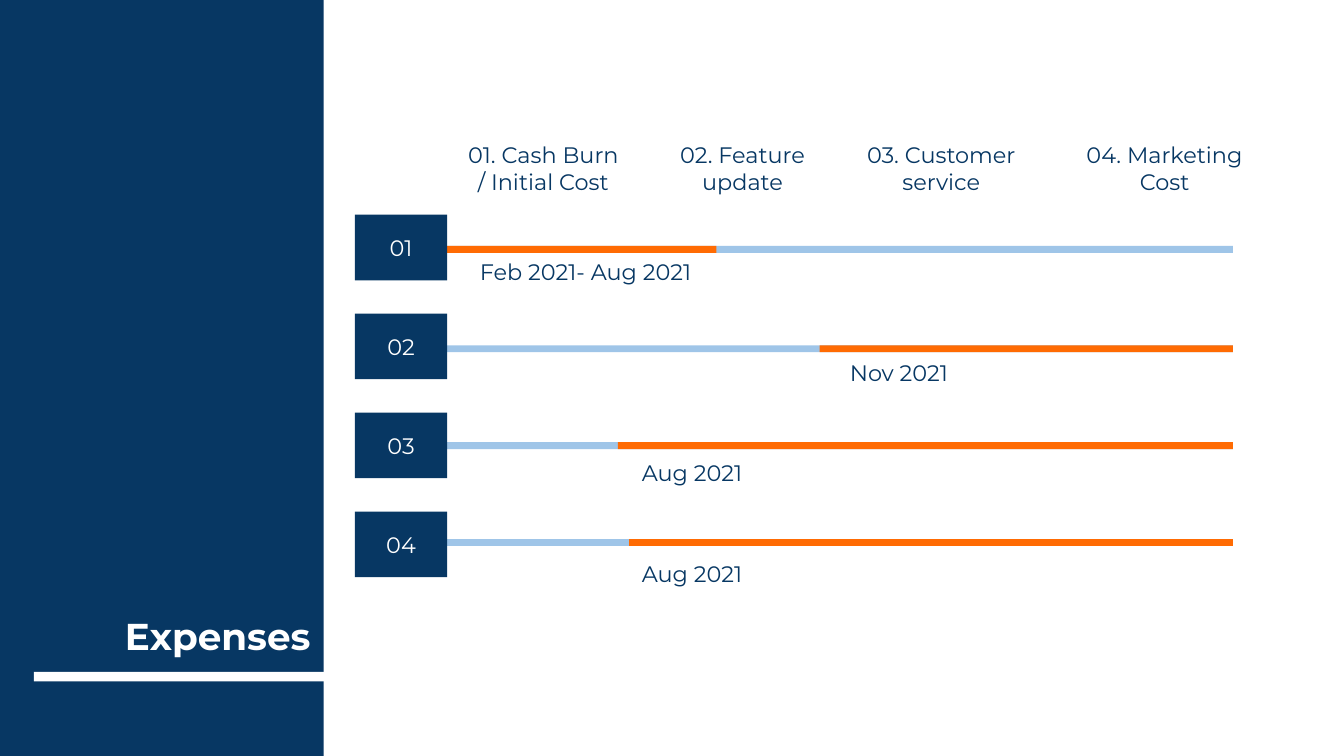
from pptx import Presentation
from pptx.dml.color import RGBColor
from pptx.enum import shapes, text
from pptx.util import Cm, Pt

NAVY = RGBColor(0x07, 0x37, 0x63)
LIGHT_BLUE = RGBColor(0x9F, 0xC5, 0xE8)
ORANGE = RGBColor(0xFF, 0x6B, 0x03)
WHITE = RGBColor(0xFF, 0xFF, 0xFF)
FONT = "Montserrat"

TITLE = "Expenses"
HEADERS = [
    ("01. Cash Burn / Initial Cost", 8.43, 3.68),
    ("02. Feature update", 12.42, 3.23),
    ("03. Customer service", 15.95, 3.68),
    ("04. Marketing Cost", 20.04, 3.94),
]
BAR_LEFT, BAR_RIGHT, BAR_HEIGHT = 8.43, 23.3, 0.13
ROWS = [
    dict(bar_top=4.65, start=BAR_LEFT, end=13.54, date="Feb 2021- Aug 2021", date_left=8.71),
    dict(bar_top=6.53, start=15.49, end=BAR_RIGHT, date="Nov 2021", date_left=14.63),
    dict(bar_top=8.36, start=11.68, end=BAR_RIGHT, date="Aug 2021", date_left=10.72),
    dict(bar_top=10.19, start=11.89, end=BAR_RIGHT, date="Aug 2021", date_left=10.72),
]
BOX_LEFT, BOX_TOP, BOX_WIDTH, BOX_HEIGHT = 6.71, 4.06, 1.74, 1.24
BOX_PITCH = 1.87
DATE_TOP, DATE_PITCH = 4.88, 1.9


def write(shape, words, color, size=12, bold=False, align=text.PP_ALIGN.CENTER,
          anchor=text.MSO_ANCHOR.MIDDLE, side_margin=0.25):
    frame = shape.text_frame
    frame.word_wrap = True
    frame.auto_size = text.MSO_AUTO_SIZE.NONE
    frame.vertical_anchor = anchor
    frame.margin_left = frame.margin_right = Cm(side_margin)
    frame.margin_top = frame.margin_bottom = Cm(0.25)
    frame.text = words
    paragraph = frame.paragraphs[0]
    paragraph.alignment = align
    font = paragraph.font
    font.name, font.size, font.bold = FONT, Pt(size), bold
    font.color.rgb = color


def add_block(slide, left, top, width, height, color):
    block = slide.shapes.add_shape(
        shapes.MSO_SHAPE.RECTANGLE, Cm(left), Cm(top), Cm(width), Cm(height))
    block.shadow.inherit = False
    block.fill.solid()
    block.fill.fore_color.rgb = color
    block.line.fill.background()
    return block


def add_label(slide, words, left, top, width, height, side_margin=0.25):
    label = slide.shapes.add_textbox(Cm(left), Cm(top), Cm(width), Cm(height))
    write(label, words, NAVY, side_margin=side_margin)


def add_title(slide):
    title = slide.shapes.title
    title.left, title.top, title.width, title.height = Cm(1.3), Cm(9.68), Cm(4.82), Cm(3)
    write(title, TITLE, WHITE, 20, True, text.PP_ALIGN.RIGHT, text.MSO_ANCHOR.BOTTOM)
    panel = add_block(slide, -0.1, -0.18, 6.22, 14.66, NAVY)
    underline = add_block(slide, 0.64, 12.7, 5.79, 0.18, WHITE)
    for block in (panel, underline):
        title.element.addprevious(block.element)


def add_row(slide, index, row):
    add_block(slide, BAR_LEFT, row["bar_top"], BAR_RIGHT - BAR_LEFT, BAR_HEIGHT, LIGHT_BLUE)
    add_block(slide, row["start"], row["bar_top"], row["end"] - row["start"], BAR_HEIGHT, ORANGE)
    add_label(slide, row["date"], row["date_left"], DATE_TOP + index * DATE_PITCH, 4.72, 0.51)
    box = add_block(slide, BOX_LEFT, BOX_TOP + index * BOX_PITCH, BOX_WIDTH, BOX_HEIGHT, NAVY)
    write(box, f"{index + 1:02}", WHITE)


def main():
    presentation = Presentation()
    presentation.slide_width, presentation.slide_height = Cm(25.4), Cm(14.29)
    slide = presentation.slides.add_slide(presentation.slide_layouts[5])
    add_title(slide)
    for words, left, width in HEADERS:
        add_label(slide, words, left, 2.79, width, 0.76, side_margin=0.38)
    for index, row in enumerate(ROWS):
        add_row(slide, index, row)
    presentation.save("out.pptx")


if __name__ == "__main__":
    main()
